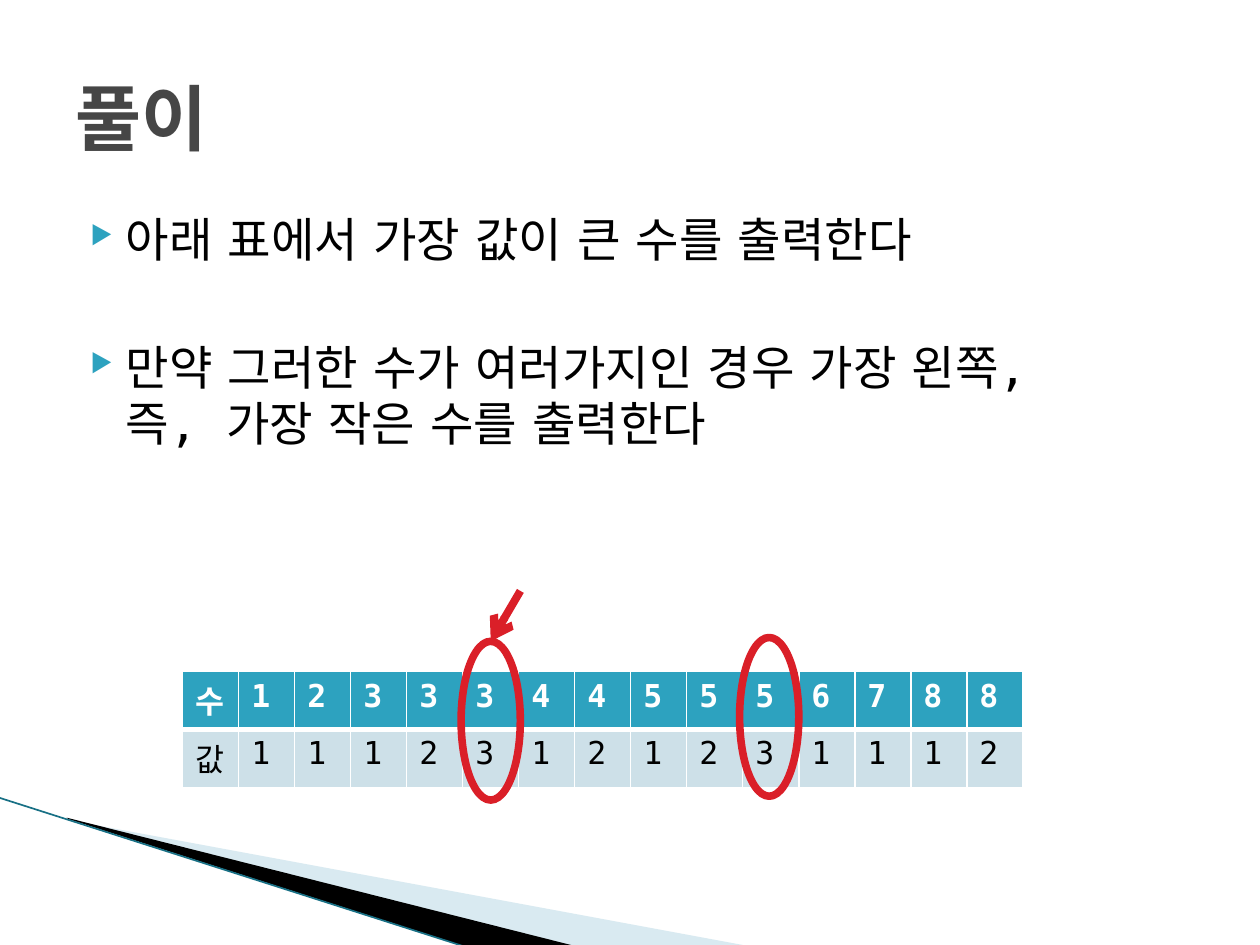
from lxml import etree
from pptx import Presentation
from pptx import util as u
from pptx.dml.color import RGBColor
from pptx.enum import shapes, text
from pptx.oxml import ns

COLORS = {
    "teal": "2DA2BF", "pale": "CDE0E8", "mist": "A0CBDC", "edge": "187085",
    "red": "DA1F28", "title": "464646", "black": "000000", "white": "FFFFFF",
}


def rgb(name):
    return RGBColor.from_string(COLORS[name])


def sub(parent, tag, **attributes):
    return etree.SubElement(parent, ns.qn(tag), attributes)


class SlideBuilder:
    font = "DejaVu Sans Mono"
    korean_font = "DejaVu Sans"

    def __init__(self, page):
        self.page = page

    def span(self, para, words, color, **formats):
        span = para.add_run()
        span.text = words
        for name, value in {"name": self.font, **formats}.items():
            setattr(span.font, name, value)
        span.font.color.rgb = rgb(color)
        sub(span.font._element, "a:ea", typeface=self.korean_font)

    def textbox(self, left, top, width, height, anchor):
        box = self.page.shapes.add_textbox(*map(u.Inches, (left, top, width, height)))
        box.text_frame.word_wrap = True
        box.text_frame.vertical_anchor = anchor
        return box.text_frame

    def bullet(self, para, lines, before):
        para.space_before = u.Pt(before)
        props = para._p.get_or_add_pPr()
        props.set("marL", str(u.Inches(0.4)))
        props.set("indent", str(u.Inches(-0.28)))
        sub(sub(props, "a:buClr"), "a:srgbClr", val=COLORS["teal"])
        sub(props, "a:buSzPct", val="54000")
        sub(props, "a:buChar", char="▶")
        for number, line in enumerate(lines):
            if number:
                para.add_line_break()
            self.span(para, line, "black", size=u.Pt(27))

    def polygon(self, points, color, alpha=None):
        corners = [tuple(map(u.Inches, point)) for point in points]
        builder = self.page.shapes.build_freeform(*corners[0])
        builder.add_line_segments(corners[1:], close=True)
        shape = builder.convert_to_shape()
        shape.shadow.inherit = False
        shape.line.fill.background()
        shape.fill.solid()
        shape.fill.fore_color.rgb = rgb(color)
        if alpha:
            fill = shape._element.spPr.find(ns.qn("a:solidFill"))
            sub(fill[0], "a:alpha", val=str(alpha * 1000))

    def ring(self, left, top, width, height):
        shape = self.page.shapes.add_shape(
            shapes.MSO_SHAPE.OVAL, *map(u.Inches, (left, top, width, height)))
        shape.shadow.inherit = False
        shape.fill.background()
        shape.line.color.rgb = rgb("red")
        shape.line.width = u.Pt(4.33)
        return shape

    def line(self, start, end, color, width, target=None):
        line = self.page.shapes.add_connector(
            shapes.MSO_CONNECTOR.STRAIGHT, *map(u.Inches, start + end))
        line.line.color.rgb = rgb(color)
        line.line.width = u.Pt(width)
        sub(line._element.spPr, "a:effectLst")
        if target is not None:
            sub(line.line._get_or_add_ln(), "a:tailEnd", type="arrow")
            line.end_connect(target, 0)

    def cell(self, cell, words, fill, color, bold, top, bottom):
        self.span(cell.text_frame.paragraphs[0], words, color,
                  size=u.Pt(18), bold=bold)
        props = cell._tc.get_or_add_tcPr()
        for side, width in {"L": 1, "R": 1, "T": top, "B": bottom}.items():
            border = sub(props, f"a:ln{side}", w=str(u.Pt(width)))
            sub(sub(border, "a:solidFill"), "a:srgbClr", val=COLORS["white"])
        cell.fill.solid()
        cell.fill.fore_color.rgb = rgb(fill)

    def table(self, left, top, width, height, rows, styles):
        count = len(rows[0])
        table = self.page.shapes.add_table(
            len(rows), count, *map(u.Inches, (left, top, width, height))).table
        for column in table.columns:
            column.width = u.Inches(width / count)
        for y, (row, style) in enumerate(zip(rows, styles)):
            for x, words in enumerate(row):
                self.cell(table.cell(y, x), words, **style)
            # Row labels sit a little lower than the digits
            table.cell(y, 0).margin_top = u.Inches(0.1)


def main():
    deck = Presentation()
    deck.slide_width, deck.slide_height = u.Inches(10), u.Inches(7.5)
    slide = SlideBuilder(deck.slides.add_slide(deck.slide_layouts[6]))

    # Corner decoration
    slide.polygon([(0.55, 6.51), (5.95, 7.51), (4.56, 7.51), (0.55, 6.5)], "mist", 40)
    slide.polygon([(0.53, 6.49), (4.57, 7.51), (3.72, 7.52), (0.54, 6.5)], "black")
    slide.line((-0.01, 6.33), (3.71, 7.52), "edge", 0.95)

    # Explanation
    body = slide.textbox(0.5, 1.62, 9, 4.95, text.MSO_ANCHOR.TOP)
    slide.bullet(body.paragraphs[0], ["아래 표에서 가장 값이 큰 수를 출력한다"], 4)
    slide.bullet(body.add_paragraph(),
                 ["만약 그러한 수가 여러가지인 경우 가장 왼쪽,",
                  "즉, 가장 작은 수를 출력한다"], 40.5)

    # Title
    title = slide.textbox(0.5, 0.3, 9, 1.25, text.MSO_ANCHOR.MIDDLE)
    slide.span(title.paragraphs[0], "풀이", "title", size=u.Pt(41), bold=True)

    # Numbers and their values
    slide.table(
        1.45, 5.33, 6.67, 0.92,
        ["수12333445556788", "값11123121231112"],
        [dict(fill="teal", color="white", bold=True, top=1, bottom=3),
         dict(fill="pale", color="black", bold=False, top=3, bottom=1)])

    # Largest values, with the leftmost one pointed out
    leftmost = slide.ring(3.66, 5.09, 0.47, 1.26)
    slide.ring(5.87, 5.06, 0.47, 1.26)
    slide.line((4.13, 4.69), (3.9, 5.09), "red", 4.5, leftmost)

    deck.save("out.pptx")


if __name__ == "__main__":
    main()
